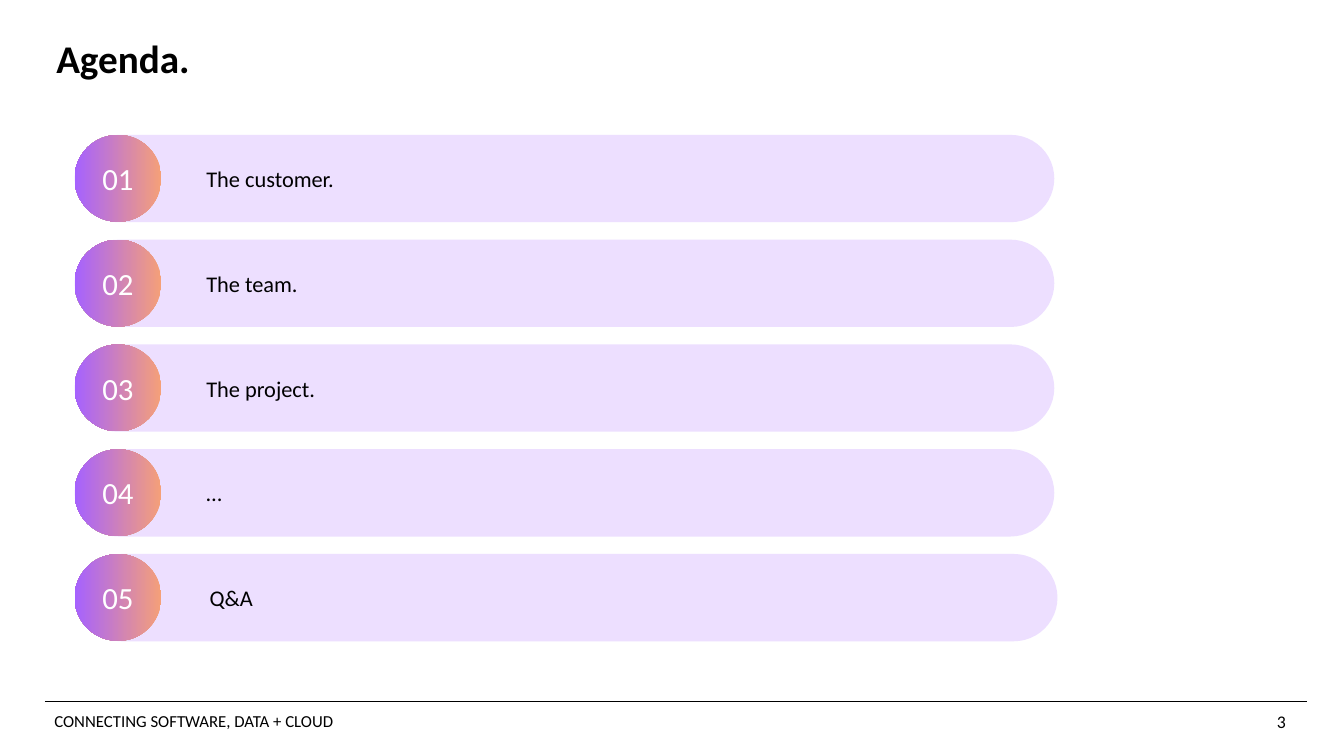
from lxml.etree import SubElement
from pptx import Presentation
from pptx.dml.color import RGBColor
from pptx.enum.shapes import MSO_CONNECTOR, MSO_SHAPE
from pptx.enum.text import MSO_ANCHOR, PP_ALIGN
from pptx.oxml.ns import qn
from pptx.util import Cm, Pt

BLACK = RGBColor(0x00, 0x00, 0x00)
WHITE = RGBColor(0xFF, 0xFF, 0xFF)
LILAC = RGBColor(0xED, 0xDF, 0xFF)
ORANGE = RGBColor(0xF5, 0xA0, 0x78)
PURPLE = RGBColor(0xA5, 0x61, 0xFF)

FONT = "Calibri"
TOPICS = ["The customer.", "The team.", "The project.", "…", "Q&A"]
BADGE_LEFT = Cm(1.88)
FIRST_TOP = Cm(3.4)
ROW_PITCH = Cm(2.64)
BADGE_SIZE = Cm(2.19)
BAR_WIDTH = Cm(24.69)
BAR_HEIGHT = Cm(2.2)
LAST_BAR_SHIFT = Cm(0.08)


def write_text(frame, text, size, color=BLACK, bold=False, alignment=PP_ALIGN.LEFT):
    frame.word_wrap = True
    paragraph = frame.paragraphs[0]
    paragraph.alignment = alignment
    run = paragraph.add_run()
    run.text = text
    run.font.name = FONT
    run.font.size = Pt(size)
    run.font.bold = bold
    run.font.color.rgb = color
    return paragraph


def add_title(slide, text):
    frame = slide.shapes.add_textbox(Cm(1.42), Cm(0.99), Cm(30.96), Cm(2.64)).text_frame
    frame.margin_left = frame.margin_top = frame.margin_right = frame.margin_bottom = 0
    write_text(frame, text, 28, bold=True).line_spacing = 0.9


def add_footer_text(slide, text, left, width, size):
    box = slide.shapes.add_textbox(left, Cm(17.78), width, Cm(0.46))
    write_text(box.text_frame, text, size)


def add_footer_line(slide):
    line = slide.shapes.add_connector(
        MSO_CONNECTOR.STRAIGHT, Cm(1.13), Cm(17.68), Cm(32.94), Cm(17.68)
    )
    line.line.color.rgb = BLACK
    line.line.width = Pt(0.5)
    SubElement(line._element.spPr, qn("a:effectLst"))


def add_plain_shape(group, kind, left, top, width, height):
    shape = group.shapes.add_shape(kind, left, top, width, height)
    shape.shadow.inherit = False
    shape.line.fill.background()
    shape.text_frame.vertical_anchor = MSO_ANCHOR.MIDDLE
    return shape


def add_bar(group, topic, left, top):
    bar = add_plain_shape(group, MSO_SHAPE.ROUNDED_RECTANGLE, left, top, BAR_WIDTH, BAR_HEIGHT)
    bar.adjustments[0] = 0.5
    bar.fill.solid()
    bar.fill.fore_color.rgb = LILAC
    bar.text_frame.margin_left = Cm(3)
    write_text(bar.text_frame, topic, 16)


def add_badge(group, number, top):
    badge = add_plain_shape(group, MSO_SHAPE.OVAL, BADGE_LEFT, top, BADGE_SIZE, BADGE_SIZE)
    badge.fill.gradient()
    badge.fill.gradient_angle = 180
    for stop, color in zip(badge.fill.gradient_stops, (ORANGE, PURPLE)):
        stop.color.rgb = color
    write_text(badge.text_frame, f"{number:02}", 22, WHITE, alignment=PP_ALIGN.CENTER)


def add_agenda(slide):
    for index, topic in enumerate(TOPICS):
        group = slide.shapes.add_group_shape()
        top = FIRST_TOP + index * ROW_PITCH
        is_last = index == len(TOPICS) - 1
        bar_left = BADGE_LEFT + (LAST_BAR_SHIFT if is_last else 0)
        add_bar(group, topic, bar_left, top)
        add_badge(group, index + 1, top)


def main():
    presentation = Presentation()
    presentation.slide_width = Cm(33.87)
    presentation.slide_height = Cm(19.05)
    slide = presentation.slides.add_slide(presentation.slide_layouts[6])
    add_footer_line(slide)
    add_title(slide, "Agenda.")
    add_footer_text(slide, "CONNECTING SOFTWARE, DATA + CLOUD", Cm(1.12), Cm(15.37), 12)
    add_footer_text(slide, "3", Cm(31.93), Cm(1.63), 12.7)
    add_agenda(slide)
    presentation.save("out.pptx")


if __name__ == "__main__":
    main()
